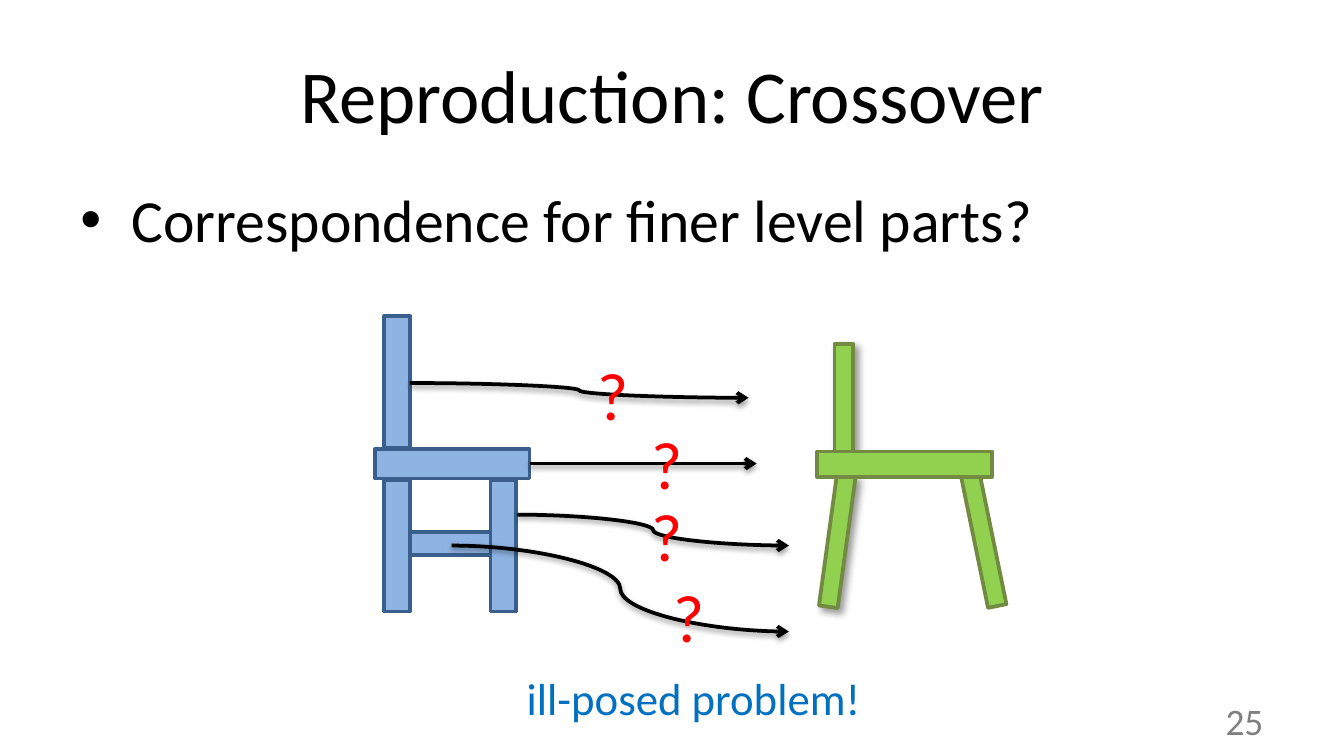
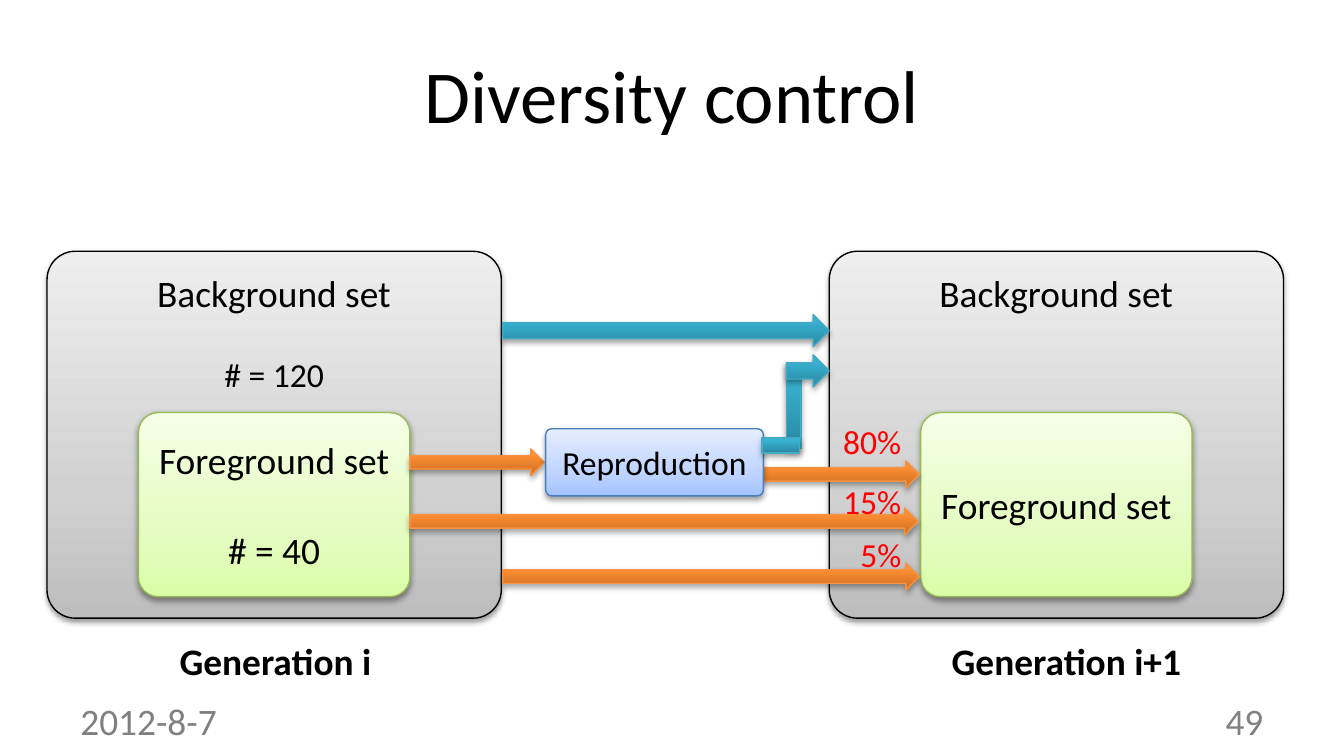
from lxml.etree import SubElement
from pptx import Presentation
from pptx.dml.color import RGBColor
from pptx.enum.shapes import MSO_CONNECTOR, MSO_SHAPE as SHAPE
from pptx.enum.text import MSO_ANCHOR as ANCHOR, MSO_AUTO_SIZE, PP_ALIGN as ALIGN
from pptx.oxml.ns import qn
from pptx.util import Inches, Pt

FONT = "Calibri"
BLACK, RED, GREY, BLUE = "000000", "FF0000", "808080", "0070C0"

# Chair colours: fill, line
BLUE_CHAIR = ("8EB4E3", "3A5F8C")
GREEN_CHAIR = ("92D050", "738A42")

# Gradients run from the bottom up: stops, line colour
GREY_SET = ([(0, "BDBDBD"), (35, "D1D1D1"), (100, "EEEEEE")], BLACK)
GREEN_SET = ([(0, "DAFDA7"), (35, "E4FCC2"), (100, "F5FFE7")], "98B955")
BLUE_STEP = ([(0, "A4C4FF"), (35, "BFD4FF"), (100, "E6EEFF")], "4B7EBC")
ORANGE = ([(0, "CC6E20"), (80, "FF9034"), (100, "FF9136")], "F69240")
TEAL = ([(0, "2A88A2"), (80, "37B1D2"), (100, "34B4D6")], "46AAC5")

# Shadows: opacity %, blur pt, distance pt, angle
SOFT = (38, 3.1, 1.6, 90)
ARROW_SHADOW = (35, 3.1, 1.8, 90)
SIDE_SHADOW = (40, 4, 3, 45)


def rgb(value):
    return RGBColor.from_string(value)


def inches(*values):
    return [Inches(value) for value in values]


def format_paragraph(para, size, color, align=ALIGN.LEFT, bold=False):
    para.alignment = align
    for span in para.runs:
        span.font.name = FONT
        span.font.size = Pt(size)
        span.font.bold = bold
        span.font.color.rgb = rgb(color)


def add_shadow(effects, shadow):
    opacity, blur, distance, angle = shadow
    outer = SubElement(effects, qn("a:outerShdw"), blurRad=str(Pt(blur)),
                       dist=str(Pt(distance)), dir=str(angle * 60000),
                       rotWithShape="0")
    color = SubElement(outer, qn("a:srgbClr"), val=BLACK)
    SubElement(color, qn("a:alpha"), val=str(opacity * 1000))


def add_page(deck, title):
    page = deck.slides.add_slide(deck.slide_layouts[5])
    box = page.shapes.title
    box.left, box.top, box.width, box.height = inches(0.5, 0.23, 9, 0.94)
    box.text_frame.text = title
    box.text_frame.vertical_anchor = ANCHOR.MIDDLE
    format_paragraph(box.text_frame.paragraphs[0], 40, BLACK, ALIGN.CENTER)
    return page


def add_text(page, place, text, size, color, align=ALIGN.CENTER, bold=False):
    """A one-line label that fits its text."""
    box = page.shapes.add_textbox(*inches(*place))
    frame = box.text_frame
    frame.text = text
    frame.word_wrap = False
    frame.auto_size = MSO_AUTO_SIZE.SHAPE_TO_FIT_TEXT
    format_paragraph(frame.paragraphs[0], size, color, align, bold)
    return box


def add_footer(page, left, text, align):
    box = add_text(page, (left, 5.21, 2.33, 0.3), text, 20, GREY, align)
    box.text_frame.auto_size = MSO_AUTO_SIZE.NONE
    box.text_frame.word_wrap = True
    box.text_frame.vertical_anchor = ANCHOR.MIDDLE


def add_bullet(page, place, text):
    box = page.shapes.add_textbox(*inches(*place))
    frame = box.text_frame
    frame.text = text
    frame.word_wrap = True
    para = frame.paragraphs[0]
    props = para._p.get_or_add_pPr()
    props.set("marL", str(Inches(0.38)))
    props.set("indent", str(Inches(-0.38)))
    SubElement(props, qn("a:buFont"), typeface="Arial")
    SubElement(props, qn("a:buChar"), char="•")
    format_paragraph(para, 32, BLACK)


def add_solid(page, place, colors, rotation=0, shadow=None):
    """A flat bar of a chair."""
    bar = page.shapes.add_shape(SHAPE.RECTANGLE, *inches(*place))
    bar.rotation = rotation
    bar.fill.solid()
    bar.fill.fore_color.rgb = rgb(colors[0])
    bar.line.color.rgb = rgb(colors[1])
    bar.line.width = Pt(2)
    bar.shadow.inherit = False
    if shadow:
        add_shadow(bar._element.spPr.find(qn("a:effectLst")), shadow)


def add_gradient(page, kind, place, style, shadow=ARROW_SHADOW):
    stops, line_color = style
    shape = page.shapes.add_shape(kind, *inches(*place))
    shape.fill.gradient()
    shape.fill.gradient_angle = 90
    stop_list = shape._element.spPr.find(qn("a:gradFill")).find(qn("a:gsLst"))
    for old_stop in list(stop_list):
        stop_list.remove(old_stop)
    for position, color in stops:
        stop = SubElement(stop_list, qn("a:gs"), pos=str(position * 1000))
        SubElement(stop, qn("a:srgbClr"), val=color)
    shape.line.color.rgb = rgb(line_color)
    shape.line.width = Pt(0.75)
    shape.shadow.inherit = False
    add_shadow(shape._element.spPr.find(qn("a:effectLst")), shadow)
    return shape


def add_card(page, place, style, corner, lines, gap=0, anchor=ANCHOR.MIDDLE):
    """A rounded box; lines holds (text, size) pairs."""
    card = add_gradient(page, SHAPE.ROUNDED_RECTANGLE, place, style, SOFT)
    card.adjustments[0] = corner
    frame = card.text_frame
    frame.text = "\n".join(text for text, _ in lines)
    frame.vertical_anchor = anchor
    frame.margin_left = frame.margin_right = Inches(0.05)
    if anchor == ANCHOR.TOP:
        frame.margin_top = Inches(0.08)
    for index, (para, (_, size)) in enumerate(zip(frame.paragraphs, lines)):
        format_paragraph(para, size, BLACK, ALIGN.CENTER)
        if index:
            para.space_before = Pt(gap)


def add_curve(page, start, end):
    curve = page.shapes.add_connector(MSO_CONNECTOR.CURVE, *inches(*start, *end))
    curve.line.color.rgb = rgb(BLACK)
    curve.line.width = Pt(2)
    SubElement(curve.line._get_or_add_ln(), qn("a:tailEnd"), type="arrow")
    add_shadow(SubElement(curve._element.spPr, qn("a:effectLst")), SOFT)


def add_generation(page, left, background, foreground, caption_place, caption):
    """A background set holding a foreground set, with its caption below."""
    add_card(page, (left, 1.87, 3.38, 2.73), GREY_SET, 0.077, background, 21,
             ANCHOR.TOP)
    add_card(page, (left + 0.68, 3.07, 2.02, 1.37), GREEN_SET, 0.108, foreground, 24)
    add_text(page, caption_place, caption, 20, BLACK, bold=True)


def build_crossover(deck):
    page = add_page(deck, "Reproduction: Crossover")
    add_bullet(page, (0.5, 1.31, 9, 0.79), "Correspondence for finer level parts?")

    # Blue chair: rung, legs and back, seat
    add_solid(page, (3.05, 3.96, 0.61, 0.17), BLUE_CHAIR)
    for left, top in [(2.86, 3.57), (2.86, 2.35), (3.65, 3.57)]:
        add_solid(page, (left, top, 0.19, 0.98), BLUE_CHAIR)
    add_solid(page, (2.79, 3.34, 1.15, 0.22), BLUE_CHAIR)

    # Green chair: front leg, back, rear leg, seat
    add_solid(page, (6.16, 3.54, 0.14, 0.98), GREEN_CHAIR, 7.8, SIDE_SHADOW)
    add_solid(page, (6.21, 2.56, 0.14, 0.8), GREEN_CHAIR, 0, SIDE_SHADOW)
    add_solid(page, (7.25, 3.52, 0.14, 1), GREEN_CHAIR, -11.6)
    add_solid(page, (6.08, 3.36, 1.3, 0.19), GREEN_CHAIR)

    # Doubtful matches: start, end, place of the question mark
    matches = [
        ((3.94, 3.45), (5.63, 3.45), (4.75, 3.09)),
        ((3.85, 3.83), (5.87, 4.06), (4.75, 3.63)),
        ((3.05, 2.85), (5.57, 2.96), (4.35, 2.58)),
        ((3.36, 4.06), (5.87, 4.7), (4.91, 4.23)),
    ]
    for start, end, mark in matches:
        add_curve(page, start, end)
        add_text(page, (*mark, 0.4, 0.64), "?", 36, RED, ALIGN.LEFT)

    add_text(page, (3.8, 4.94, 2.72, 0.5), "ill-posed problem!", 24, BLUE)
    add_footer(page, 7.17, "25", ALIGN.RIGHT)


def build_diversity(deck):
    page = add_page(deck, "Diversity control")
    background, foreground = ("Background set", 20), ("Foreground set", 20)
    add_generation(page, 0.35, [background, ("# = 120", 18)],
                   [foreground, ("# = 40", 20)],
                   (1.23, 4.7, 1.64, 0.44), "Generation i")
    add_generation(page, 6.17, [background], [foreground],
                   (6.97, 4.7, 1.93, 0.44), "Generation i+1")

    # Flows into the next generation
    add_gradient(page, SHAPE.RIGHT_ARROW, (3.74, 2.34, 2.43, 0.24), TEAL)
    for left, top, width in [(3.05, 3.78, 3.78), (3.74, 4.19, 3.1),
                             (3.05, 3.34, 1), (5.67, 3.43, 1.17)]:
        add_gradient(page, SHAPE.RIGHT_ARROW, (left, top, width, 0.2), ORANGE)
    for left, top, width, share in [(6.17, 3.08, 0.64, "80%"),
                                    (6.17, 3.53, 0.64, "15%"),
                                    (6.3, 3.92, 0.51, "5%")]:
        add_text(page, (left, top, width, 0.4), share, 18, RED)

    # Reproduction and its bent arrow to the background set
    add_card(page, (4.06, 3.19, 1.62, 0.5), BLUE_STEP, 0.09, [("Reproduction", 18)])
    add_gradient(page, SHAPE.RECTANGLE, (5.85, 2.7, 0.11, 0.64), TEAL)
    add_gradient(page, SHAPE.RECTANGLE, (5.67, 3.26, 0.28, 0.11), TEAL)
    add_gradient(page, SHAPE.RIGHT_ARROW, (5.85, 2.64, 0.32, 0.24), TEAL)

    add_footer(page, 0.5, "2012-8-7", ALIGN.LEFT)
    add_footer(page, 7.17, "49", ALIGN.RIGHT)


def main():
    deck = Presentation()
    # Widescreen, 16:9
    deck.slide_width, deck.slide_height = inches(10, 10 * 9 / 16)
    build_crossover(deck)
    build_diversity(deck)
    deck.save("out.pptx")


if __name__ == "__main__":
    main()
